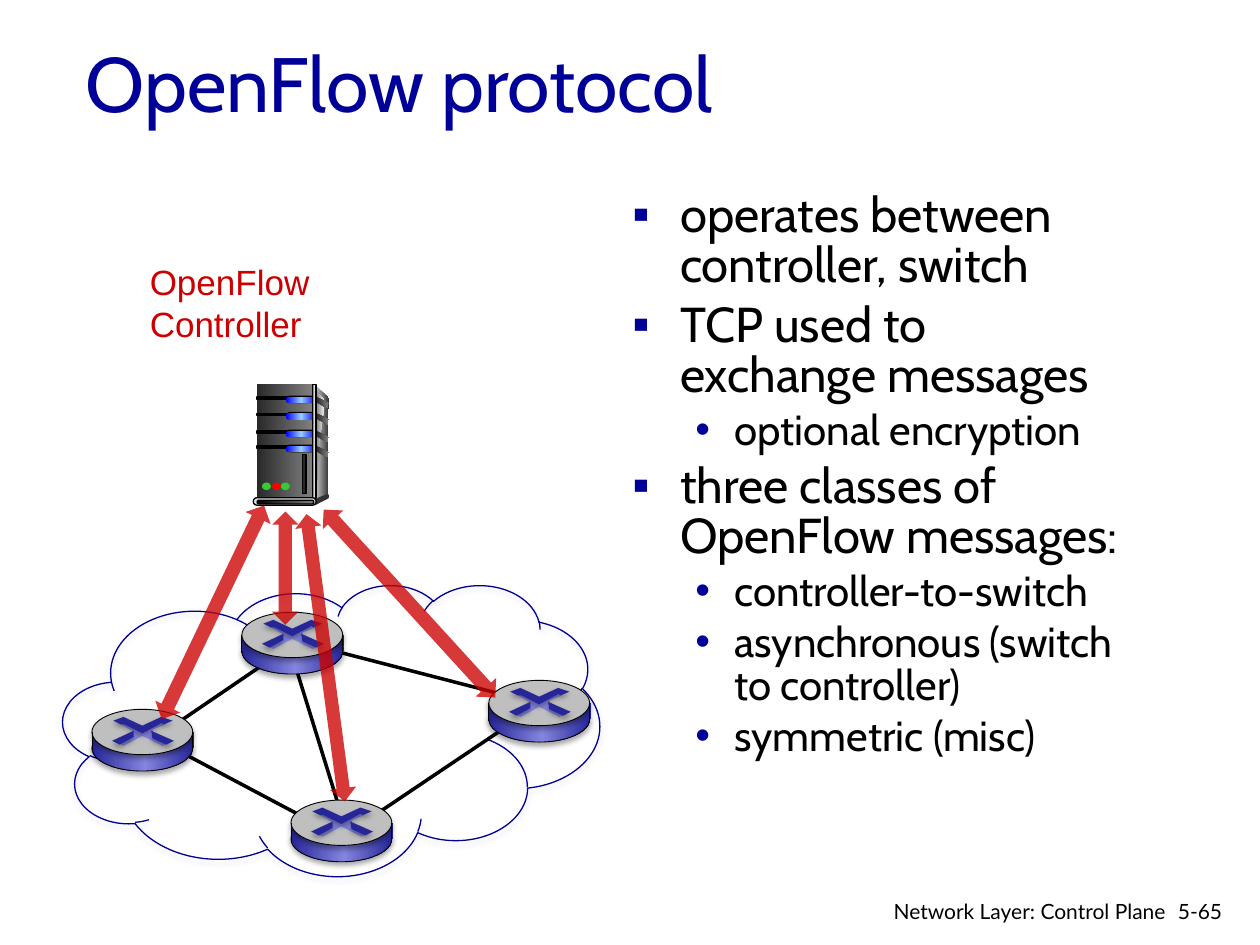
from lxml import etree
from pptx import Presentation
from pptx import util as u
from pptx.dml.color import RGBColor
from pptx.enum import shapes, text
from pptx.oxml.ns import qn

COLORS = {"navy": "000099", "cloud": "000090", "glow": "A5A5E9", "red": "CC0000",
          "black": "000000", "gray": "BFBFBF", "rim": "262699", "sheen": "8585E0",
          "dark": "292929", "mid": "808080", "pale": "F8F8F8", "steel": "DDDDDD",
          "iron": "333333", "blue": "0000FF", "sky": "99CCFF", "green": "33CC33",
          "alert": "FF0000"}
SHAPE = shapes.MSO_SHAPE
ROUTER_GRADIENT = [(0, "rim"), (53, "sheen"), (100, "rim")]
PANEL_GRADIENT = [(0, "dark"), (100, "mid")]


def rgb(name):
    """Return the named colour."""
    return RGBColor.from_string(COLORS[name])


def add_node(parent, tag, **attributes):
    """Append a DrawingML element with the given attributes."""
    return etree.SubElement(parent, qn(tag), {k: str(v) for k, v in attributes.items()})


def cast_shadow(effects, color="black", opacity=35):
    """Put a soft downward shadow into an effect list."""
    shadow = add_node(effects, "a:outerShdw", blurRad=u.Pt(3.1), dist=u.Pt(1.8),
                      dir=5400000, rotWithShape=0)
    tint = add_node(shadow, "a:srgbClr", val=COLORS[color])
    add_node(tint, "a:alpha", val=opacity * 1000)


def paint(shape, fill=None, line=None, width=0.75, shadow=None):
    """Give a shape its plain or gradient fill, outline and shadow."""
    if fill is None:
        shape.fill.background()
    elif isinstance(fill, str):
        shape.fill.solid()
        shape.fill.fore_color.rgb = rgb(fill)
    else:
        shape.fill.gradient()
        shape.fill.gradient_angle = 0
        stops = shape._element.spPr.find(".//" + qn("a:gsLst"))
        for stop in list(stops):
            stops.remove(stop)
        for position, name in fill:
            stop = add_node(stops, "a:gs", pos=position * 1000)
            add_node(stop, "a:srgbClr", val=COLORS[name])
    if line:
        shape.line.color.rgb = rgb(line)
        shape.line.width = u.Pt(width)
    else:
        shape.line.fill.background()
    shape.shadow.inherit = False
    if shadow:
        cast_shadow(shape._element.spPr.find(qn("a:effectLst")), shadow)


def add_part(slide, origin, kind, box, fill=None, **style):
    """Add a preset shape placed relative to an origin."""
    left, top, width, height = box
    part = slide.shapes.add_shape(kind, u.Inches(origin[0] + left), u.Inches(origin[1] + top),
                                  u.Inches(width), u.Inches(height))
    if kind == SHAPE.ROUNDED_RECTANGLE:
        part.adjustments[0] = 0.5
    paint(part, fill, **style)
    return part


def add_outline(slide, origin, points, fill, **style):
    """Add a closed polygon placed relative to an origin."""
    corners = [(u.Inches(origin[0] + x), u.Inches(origin[1] + y)) for x, y in points]
    builder = slide.shapes.build_freeform(*corners[0])
    builder.add_line_segments(corners[1:], close=True)
    paint(builder.convert_to_shape(), fill, **style)


def add_line(slide, start, end, width, shadow=False):
    """Add a straight black line."""
    line = slide.shapes.add_connector(shapes.MSO_CONNECTOR.STRAIGHT,
                                      *(u.Inches(v) for v in (*start, *end)))
    line.line.color.rgb = rgb("black")
    line.line.width = u.Pt(width)
    effects = add_node(line._element.spPr, "a:effectLst")
    if shadow:
        cast_shadow(effects, opacity=38)


def format_runs(paragraph, font, size, color):
    """Format every run of a paragraph."""
    for run in paragraph.runs:
        run.font.name = font
        run.font.size = u.Pt(size)
        run.font.color.rgb = rgb(color)


def add_text(slide, box, words, font, size, color, wrap=True, align=text.PP_ALIGN.LEFT):
    """Add a one-paragraph text box."""
    frame = slide.shapes.add_textbox(*(u.Inches(v) for v in box)).text_frame
    frame.word_wrap = wrap
    frame.text = words
    frame.paragraphs[0].alignment = align
    format_runs(frame.paragraphs[0], font, size, color)


def add_title(slide, box, words):
    """Place and format the title placeholder."""
    title = slide.shapes.title
    title.left, title.top, title.width, title.height = (u.Inches(v) for v in box)
    frame = title.text_frame
    frame.text = words
    frame.vertical_anchor = text.MSO_ANCHOR.MIDDLE
    frame.paragraphs[0].alignment = text.PP_ALIGN.LEFT
    format_runs(frame.paragraphs[0], "Cabin", 44, "navy")


def add_bullets(slide, box, items):
    """Add the two-level bullet list."""
    frame = slide.shapes.add_textbox(*(u.Inches(v) for v in box)).text_frame
    frame.word_wrap = True
    levels = [(0.38, 0.38, "▪", 28), (0.81, 0.31, "•", 24)]
    for index, (level, words) in enumerate(items):
        indent, hang, mark, size = levels[level]
        paragraph = frame.paragraphs[0] if index == 0 else frame.add_paragraph()
        paragraph.text = words
        paragraph.level = level
        paragraph.line_spacing = 0.85
        if index:
            paragraph.space_before = u.Pt(size * 0.2)
        properties = paragraph._p.get_or_add_pPr()
        properties.set("marL", str(u.Inches(indent)))
        properties.set("indent", str(-u.Inches(hang)))
        add_node(add_node(properties, "a:buClr"), "a:srgbClr", val=COLORS["navy"])
        add_node(properties, "a:buFont", typeface="Arial")
        add_node(properties, "a:buChar", char=mark)
        format_runs(paragraph, "Cabin", size, "black")


def add_server(slide, origin):
    """Draw the controller's server tower."""
    def part(kind, box, fill, **style):
        add_part(slide, origin, kind, box, fill, **style)

    add_outline(slide, origin, [(0.48, 0), (0.6, 0.11), (0.59, 0.88), (0.48, 0.92)],
                [(0, "steel"), (100, "iron")])
    part(SHAPE.RECTANGLE, (0.03, 0, 0.44, 0.92), PANEL_GRADIENT)
    add_outline(slide, origin, [(0.5, 0.05), (0.57, 0.13), (0.52, 0.5), (0.5, 0.89)],
                [(0, "mid"), (100, "pale")])
    for y in (0.1, 0.23, 0.37, 0.49):
        add_outline(slide, origin, [(0.5, y), (0.6, y + 0.05), (0.59, y + 0.09),
                                    (0.5, y + 0.04)], PANEL_GRADIENT)
        part(SHAPE.RECTANGLE, (0.03, y, 0.25, 0.02), "black", line="black")
        part(SHAPE.ROUNDED_RECTANGLE, (0.26, y - 0.01, 0.24, 0.06), "black")
        part(SHAPE.ROUNDED_RECTANGLE, (0.26, y, 0.24, 0.05),
             [(0, "blue"), (50, "sky"), (100, "blue")])
    part(SHAPE.RECTANGLE, (0.47, 0, 0.03, 0.92),
         [(0, "iron"), (50, "steel"), (100, "iron")], line="black")
    part(SHAPE.OVAL, (0.58, 0.87, 0.02, 0.04), "iron")
    add_outline(slide, origin, [(0.49, 0.91), (0.49, 0.96), (0.59, 0.91), (0.59, 0.87)], "iron")
    part(SHAPE.ROUNDED_RECTANGLE, (0, 0.9, 0.5, 0.06), "steel", line="black")
    part(SHAPE.ROUNDED_RECTANGLE, (0.03, 0.92, 0.45, 0.03),
         [(0, "black"), (100, "mid")], line="black")
    for x, light in ((0.07, "green"), (0.15, "alert"), (0.22, "green")):
        part(SHAPE.OVAL, (x, 0.78, 0.07, 0.06), light)
    part(SHAPE.RECTANGLE, (0.39, 0.56, 0.03, 0.31), "dark", line="black")


def add_router(slide, origin):
    """Draw one router with its crossed-arrows top."""
    edge = {"line": "black", "width": 0.5, "shadow": "black"}
    add_part(slide, origin, SHAPE.OVAL, (0, 0.13, 0.8, 0.36), ROUTER_GRADIENT, **edge)
    add_part(slide, origin, SHAPE.RECTANGLE, (0, 0.18, 0.81, 0.13), ROUTER_GRADIENT)
    add_part(slide, origin, SHAPE.OVAL, (0, 0, 0.8, 0.36), "gray", **edge)
    add_outline(slide, origin, [
        (0.4, 0.21), (0.25, 0.29), (0.21, 0.27), (0.33, 0.22), (0.32, 0.17), (0.23, 0.12),
        (0.26, 0.11), (0.4, 0.17), (0.54, 0.11), (0.58, 0.12), (0.48, 0.16), (0.5, 0.23),
        (0.6, 0.27), (0.56, 0.29)], "sheen")
    chevron = [(0.17, 0.09), (0.25, 0.06), (0.4, 0.13), (0.55, 0.06), (0.64, 0.09),
               (0.57, 0.12), (0.55, 0.11), (0.4, 0.19), (0.26, 0.12), (0.23, 0.12)]
    right_arm = [(0.47, 0.17), (0.65, 0.25), (0.59, 0.28), (0.48, 0.23)]
    left_arm = [(0.33, 0.17), (0.33, 0.22), (0.22, 0.28), (0.16, 0.25)]
    for outline in (chevron, right_arm, left_arm):
        add_outline(slide, origin, outline, "rim", shadow="black")
    left, top = origin
    for x in (left, left + 0.8):
        add_line(slide, (x, top + 0.32), (x, top + 0.18), 0.5, shadow=True)


def add_network(slide, box):
    """Draw the cloud, links, controller, routers and message arrows."""
    left, top, width, height = box
    add_part(slide, (left, top), SHAPE.CLOUD, (0, 0, width, height),
             line="cloud", shadow="glow")
    for x1, y1, x2, y2 in ((0.73, 1.22, 2.05, 0.32), (0.73, 1.22, 2.05, 1.92),
                           (1.83, 0.6, 2.18, 1.73), (2.13, 0.52, 3.56, 0.89),
                           (2.34, 1.92, 3.56, 1.1)):
        add_line(slide, (left + x1, top + y1), (left + x2, top + y2), 2)
    add_server(slide, (left + 1.51, top - 1.59))
    add_text(slide, (left + 0.59, top - 2.62, 2.69, 0.44), "OpenFlow\vController",
             "Arial", 20, "red", wrap=False)
    for x, y in ((1.81, 1.71), (3.38, 0.76), (0.23, 0.99), (1.42, 0.22)):
        add_router(slide, (left + x, top + y))
    for arrow_box, angle in (((1.98, -0.57, 0.21, 2.3), 352.4), ((1.66, -0.58, 0.21, 0.9), 0),
                             ((2.64, -0.86, 0.22, 2.02), 317.6),
                             ((1.08, -0.72, 0.22, 1.88), 25.6)):
        arrow = add_part(slide, (left, top), SHAPE.UP_DOWN_ARROW, arrow_box, "red")
        arrow.rotation = angle
        tint = arrow._element.spPr.find(qn("a:solidFill")).find(qn("a:srgbClr"))
        add_node(tint, "a:alpha", val=78000)


def main():
    """Build and save the slide."""
    deck = Presentation()
    deck.slide_width, deck.slide_height = u.Inches(10), u.Inches(7.5)
    slide = deck.slides.add_slide(deck.slide_layouts[5])
    add_title(slide, (0.58, 0.02, 8.5, 1.25), "OpenFlow protocol")
    add_bullets(slide, (4.92, 1.48, 4.17, 5.08), [
        (0, "operates between controller, switch"), (0, "TCP used to exchange messages"),
        (1, "optional encryption"), (0, "three classes of OpenFlow messages:"),
        (1, "controller-to-switch"), (1, "asynchronous (switch to controller)"),
        (1, "symmetric (misc)")])
    add_network(slide, (0.5, 4.64, 4.26, 2.31))
    add_text(slide, (9.25, 7.08, 0.6, 0.3), "5-65", "Lato", 12, "black")
    add_text(slide, (6.97, 7.08, 2.38, 0.26), "Network Layer: Control Plane", "Lato", 12,
             "black", align=text.PP_ALIGN.RIGHT)
    deck.save("out.pptx")


if __name__ == "__main__":
    main()
